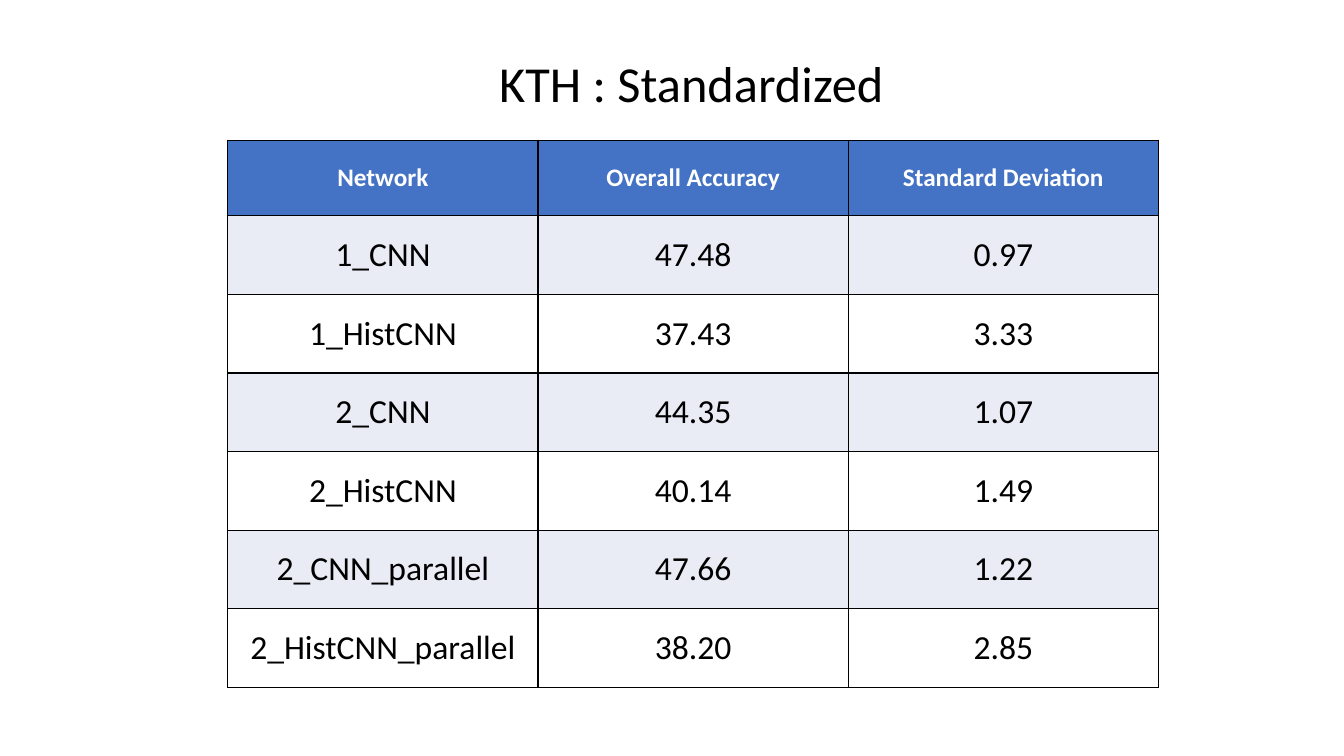
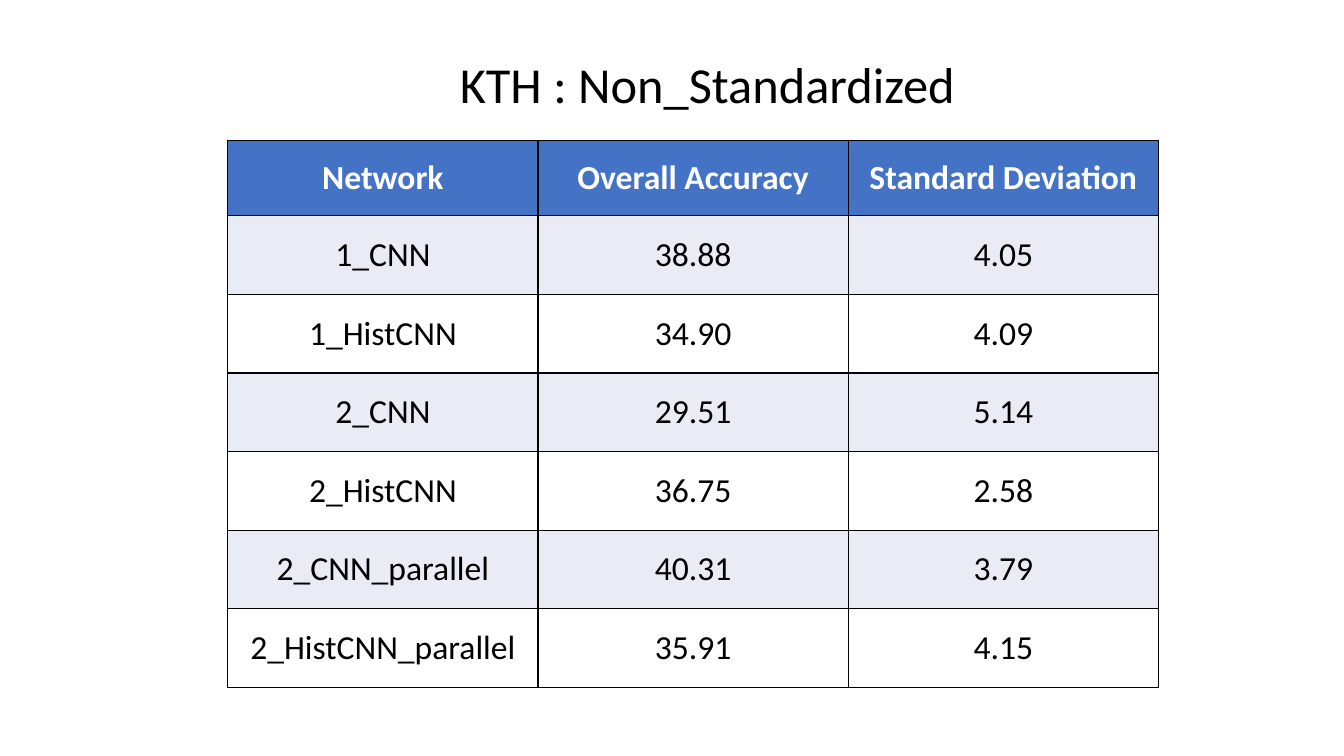
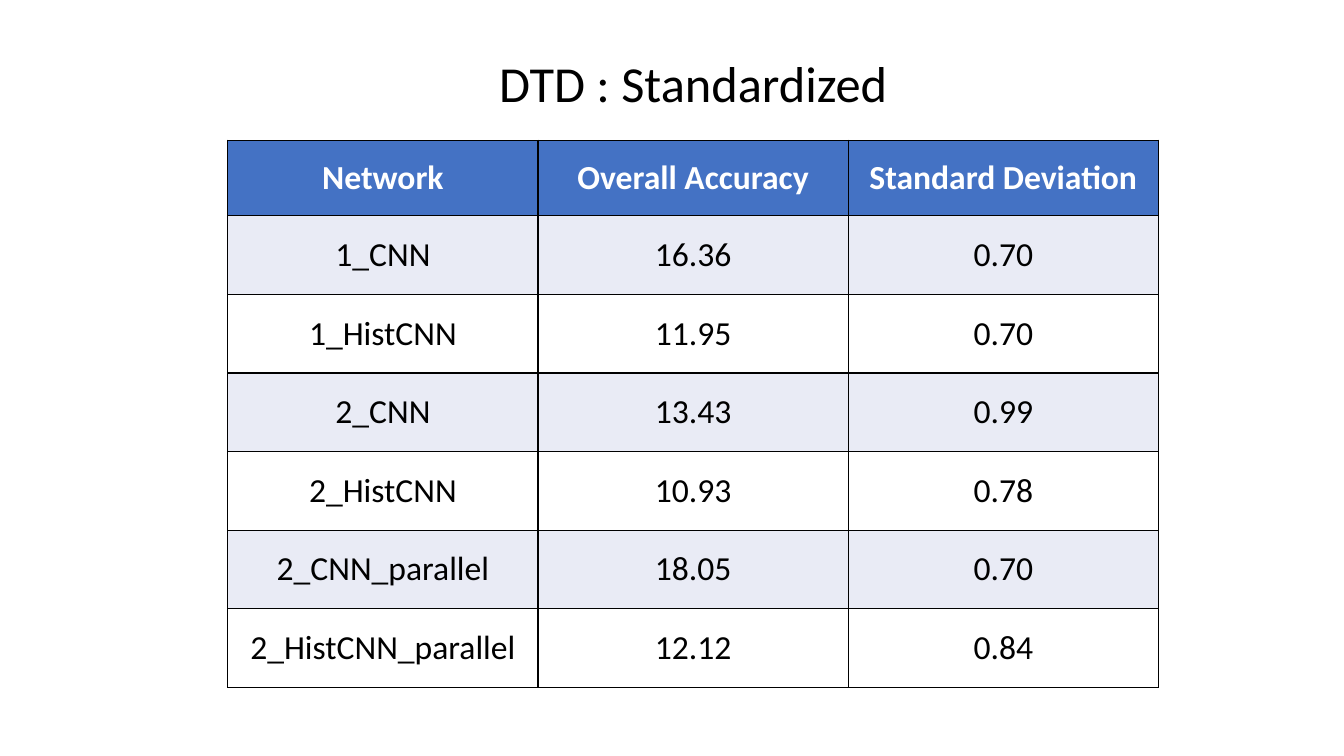
from lxml import etree
from pptx import Presentation
from pptx import oxml
from pptx import util as u
from pptx.dml import color
from pptx.enum import text
from pptx.oxml import ns

FONT = "Calibri"
BLACK, WHITE = "000000", "FFFFFF"
HEADER_FILL, BAND_FILL = "4472C4", "E9EBF5"
TABLE_BOX = (2.26, 1.39, 9.23, 5.43)
HEADER_HEIGHT = 0.75
TITLE_HEIGHT = 0.71

HEADERS = ("Network", "Overall Accuracy", "Standard Deviation")
NETWORKS = ("1_CNN", "1_HistCNN", "2_CNN", "2_HistCNN", "2_CNN_parallel", "2_HistCNN_parallel")

RESULTS = (
    {
        "title": "KTH : Standardized",
        "title_box": (4.85, 0.47, 4.05, TITLE_HEIGHT),
        "header_size": 18,
        "accuracy": ("47.48", "37.43", "44.35", "40.14", "47.66", "38.20"),
        "deviation": ("0.97", "3.33", "1.07", "1.49", "1.22", "2.85"),
    },
    {
        "title": "KTH : Non_Standardized",
        "title_box": (4.46, 0.48, 5.15, TITLE_HEIGHT),
        "header_size": 24,
        "accuracy": ("38.88", "34.90", "29.51", "36.75", "40.31", "35.91"),
        "deviation": ("4.05", "4.09", "5.14", "2.58", "3.79", "4.15"),
    },
    {
        "title": "DTD : Standardized",
        "title_box": (4.85, 0.47, 4.08, TITLE_HEIGHT),
        "header_size": 24,
        "accuracy": ("16.36", "11.95", "13.43", "10.93", "18.05", "12.12"),
        "deviation": ("0.70", "0.70", "0.99", "0.78", "0.70", "0.84"),
    },
)


def rgb(hex_string):
    """Turn a hex string into a colour."""
    return color.RGBColor.from_string(hex_string)


def add_run(paragraph, words, size, hex_string, bold=False):
    """Add one formatted run to a paragraph."""
    run = paragraph.add_run()
    run.text = words
    run.font.name = FONT
    run.font.size = u.Pt(size)
    run.font.bold = bold
    run.font.color.rgb = rgb(hex_string)


def add_borders(cell, hex_string, points):
    """Draw a solid line on all four sides of a cell."""
    properties = cell._tc.get_or_add_tcPr()
    for side in ("lnL", "lnR", "lnT", "lnB"):
        line = etree.SubElement(properties, ns.qn(f"a:{side}"), w=str(u.Pt(points)))
        fill = etree.SubElement(line, ns.qn("a:solidFill"))
        etree.SubElement(fill, ns.qn("a:srgbClr"), val=hex_string)


def fill_cell(cell, words, size, text_color, fill_color, bold):
    """Write centred text in a bordered, filled cell."""
    add_borders(cell, BLACK, 1)
    cell.fill.solid()
    cell.fill.fore_color.rgb = rgb(fill_color)
    cell.vertical_anchor = text.MSO_ANCHOR.MIDDLE
    paragraph = cell.text_frame.paragraphs[0]
    paragraph.alignment = text.PP_ALIGN.CENTER
    add_run(paragraph, words, size, text_color, bold)


def place_title(slide, words, box):
    """Move the title placeholder to its box and write the title."""
    title = slide.shapes.title
    title.left, title.top, title.width, title.height = map(u.Inches, box)
    frame = title.text_frame
    frame.word_wrap = False
    frame.auto_size = text.MSO_AUTO_SIZE.SHAPE_TO_FIT_TEXT
    frame.vertical_anchor = text.MSO_ANCHOR.TOP
    paragraph = frame.paragraphs[0]
    paragraph.alignment = text.PP_ALIGN.LEFT
    add_run(paragraph, words, 36, BLACK)


def place_table(slide, rows, box, header_size):
    """Fill the box with a header row and banded result rows."""
    left, top, width, height = box
    table = slide.shapes.add_table(len(rows), len(rows[0]), *map(u.Inches, box)).table
    for column in table.columns:
        column.width = u.Inches(width / len(rows[0]))
    body_height = (height - HEADER_HEIGHT) / (len(rows) - 1)
    for row_index, values in enumerate(rows):
        is_header = row_index == 0
        table.rows[row_index].height = u.Inches(HEADER_HEIGHT if is_header else body_height)
        if is_header:
            style = (header_size, WHITE, HEADER_FILL, True)
        else:
            style = (24, BLACK, BAND_FILL if row_index % 2 else WHITE, False)
        for column_index, words in enumerate(values):
            fill_cell(table.cell(row_index, column_index), words, *style)


def add_result_slide(presentation, result):
    """Add a slide with a title above a table of results."""
    slide = presentation.slides.add_slide(presentation.slide_layouts[5])
    place_title(slide, result["title"], result["title_box"])
    rows = [HEADERS, *zip(NETWORKS, result["accuracy"], result["deviation"])]
    place_table(slide, rows, TABLE_BOX, result["header_size"])


def main():
    """Build and save the presentation."""
    presentation = Presentation()
    presentation.slide_width = u.Inches(13.33)
    presentation.slide_height = u.Inches(7.5)
    for result in RESULTS:
        add_result_slide(presentation, result)
    presentation.save("out.pptx")


if __name__ == "__main__":
    main()
